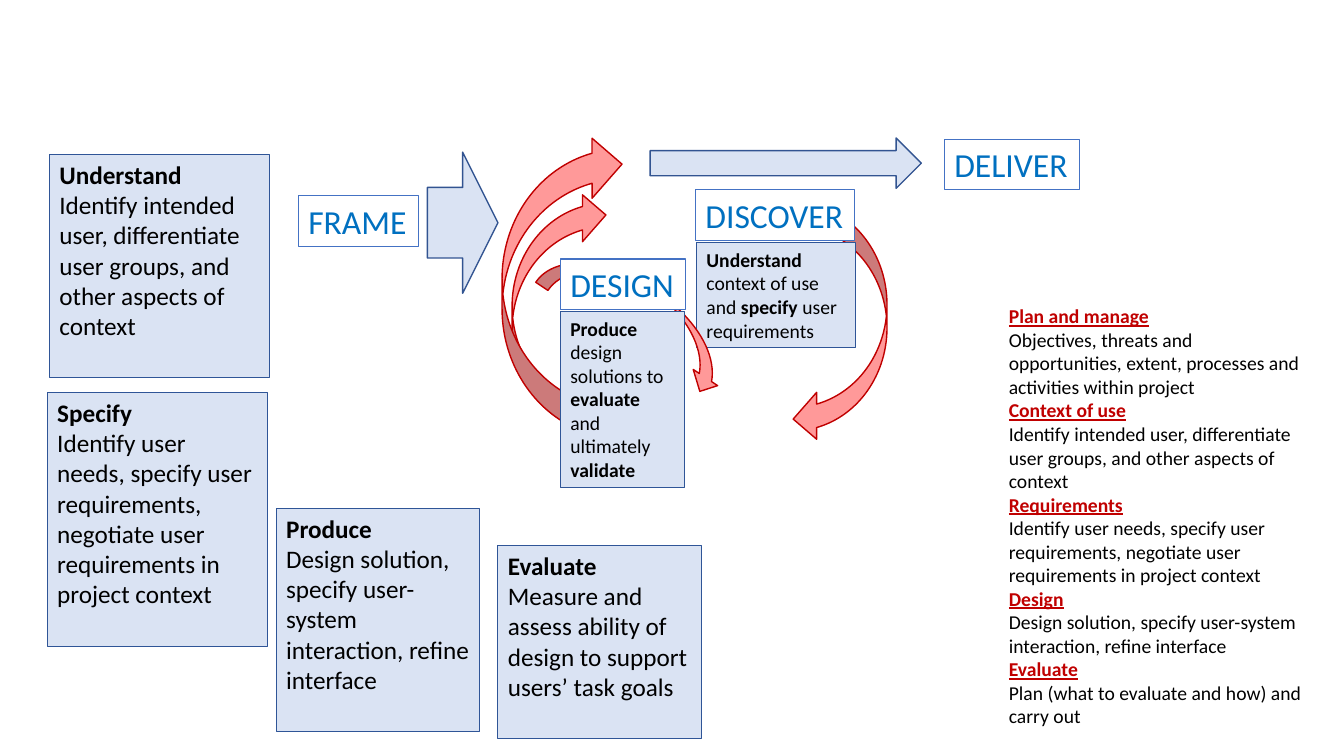
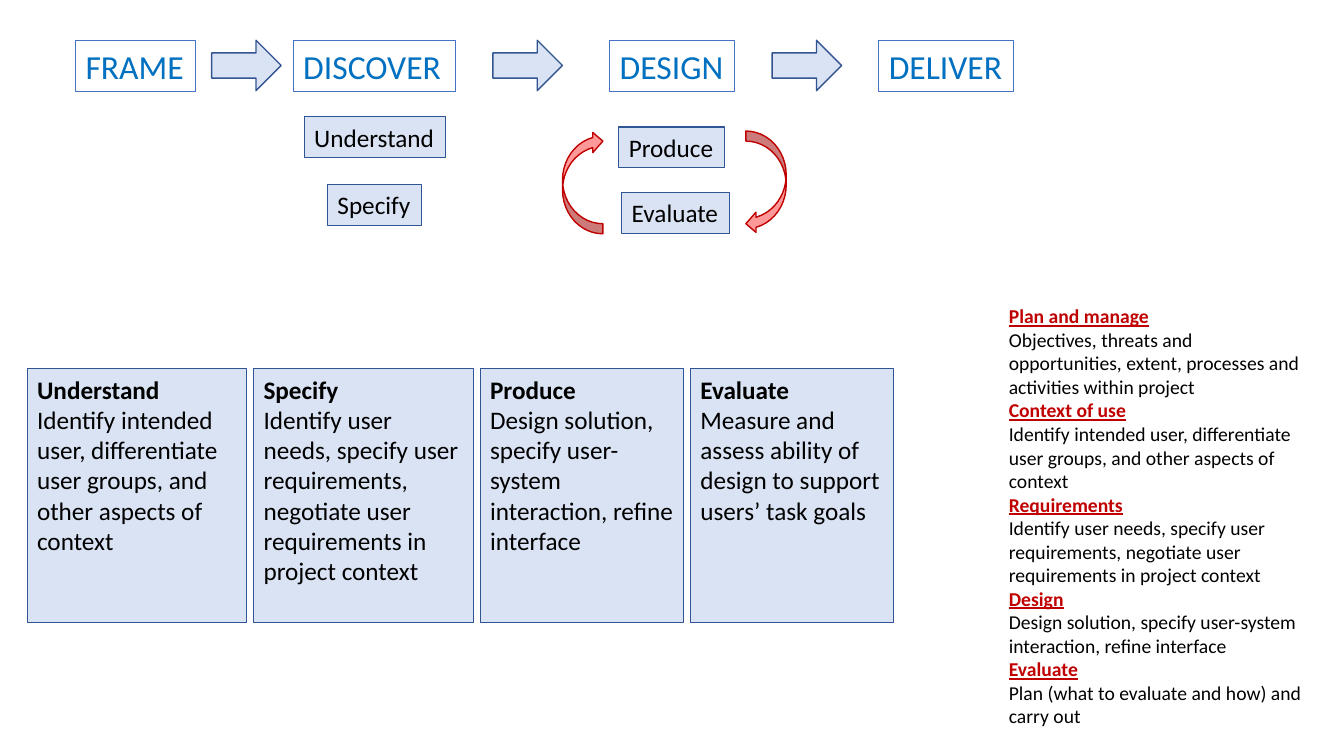
"""Build two slides on the frame, discover, design and deliver process."""
from dataclasses import dataclass

from pptx import Presentation
from pptx.dml.color import RGBColor
from pptx.enum.shapes import MSO_SHAPE as Shape
from pptx.enum.text import MSO_AUTO_SIZE as AutoSize
from pptx.util import Pt


@dataclass(frozen=True)
class Theme:
    font: str = "Calibri"
    black: str = "000000"
    white: str = "FFFFFF"
    pale_blue: str = "DAE3F3"
    box_line: str = "2F5597"
    arrow_line: str = "325491"
    label_line: str = "4472C4"
    label_text: str = "0070C0"
    pink: str = "FF9999"
    red: str = "C00000"
    label_size: int = 24
    card_size: int = 18
    small_size: int = 14
    box_width: float = 0.75
    arrow_width: float = 1


@dataclass(frozen=True)
class BoxStyle:
    size: int
    text: str
    heading: str
    fill: str | None = None
    line: str | None = None
    wrap: bool = True
    underline: bool = False


theme = Theme()
label = BoxStyle(theme.label_size, theme.label_text, theme.label_text,
                 theme.white, theme.label_line, wrap=False)
card = BoxStyle(theme.card_size, theme.black, theme.black, theme.pale_blue, theme.box_line)
tag = BoxStyle(theme.card_size, theme.black, theme.black,
               theme.pale_blue, theme.box_line, wrap=False)
note = BoxStyle(theme.small_size, theme.black, theme.black, theme.pale_blue, theme.box_line)
panel = BoxStyle(theme.small_size, theme.black, theme.red, underline=True)

USER_GROUPS = "Identify intended user, differentiate user groups, and other aspects of context"
USER_NEEDS = ("Identify user needs, specify user requirements, "
              "negotiate user requirements in project context")
SOLUTION = "Design solution, specify user-system interaction, refine interface"
CARDS = {
    "Understand": (157, USER_GROUPS),
    "Specify": (157, USER_NEEDS),
    "Produce": (145.4, SOLUTION),
    "Evaluate": (145.4, "Measure and assess ability of design to support users’ task goals"),
}
PANEL_LINES = [
    "*Plan and manage*",
    "Objectives, threats and opportunities, extent, processes and activities within project",
    "*Context of use*",
    USER_GROUPS,
    "*Requirements*",
    USER_NEEDS,
    "*Design*",
    SOLUTION,
    "*Evaluate*",
    "Plan (what to evaluate and how) and carry out",
]
PANEL_PLACE = (713.5, 213.8, 223.9, 312.5)
LABEL_HEIGHT = 36.3
TAG_HEIGHT = 29
ARROW_HEIGHT = 36


def add_box(page, style, place, lines):
    """Add a text box; words between asterisks take the heading look."""
    box = page.shapes.add_textbox(*map(Pt, place))
    if style.fill:
        box.fill.solid()
        box.fill.fore_color.rgb = RGBColor.from_string(style.fill)
        box.line.color.rgb = RGBColor.from_string(style.line)
        box.line.width = Pt(theme.box_width)
    frame = box.text_frame
    frame.word_wrap = style.wrap
    frame.auto_size = AutoSize.SHAPE_TO_FIT_TEXT if not style.wrap else AutoSize.NONE
    for index, line in enumerate(lines):
        para = frame.add_paragraph() if index else frame.paragraphs[0]
        for part, words in enumerate(line.split("*")):
            if not words:
                continue
            is_heading = part % 2 == 1
            span = para.add_run()
            span.text = words
            span.font.name = theme.font
            span.font.size = Pt(style.size)
            span.font.bold = is_heading
            span.font.underline = is_heading and style.underline
            colour = style.heading if is_heading else style.text
            span.font.color.rgb = RGBColor.from_string(colour)


def add_arrow(page, kind, place, rotation=0):
    """Add a blue block arrow or a red curved arrow."""
    arrow = page.shapes.add_shape(kind, *map(Pt, place))
    straight = kind == Shape.RIGHT_ARROW
    fill, line = (theme.pale_blue, theme.arrow_line) if straight else (theme.pink, theme.red)
    arrow.shadow.inherit = False
    arrow.rotation = rotation
    arrow.fill.solid()
    arrow.fill.fore_color.rgb = RGBColor.from_string(fill)
    arrow.line.color.rgb = RGBColor.from_string(line)
    arrow.line.width = Pt(theme.arrow_width)


deck = Presentation()
deck.slide_width, deck.slide_height = Pt(960), Pt(540)
blank = deck.slide_layouts[6]

cycle_page = deck.slides.add_slide(blank)
add_arrow(cycle_page, Shape.RIGHT_ARROW, (305.3, 108.7, 50.4, 100.8))
add_arrow(cycle_page, Shape.CURVED_LEFT_ARROW, (365.8, 136.8, 67, 172.1), 180)
add_arrow(cycle_page, Shape.CURVED_LEFT_ARROW, (566.6, 144, 67, 172.1))
add_box(cycle_page, note, (497.5, 173.5, 113.8, 74.9),
        ["*Understand *context of use and *specify* user requirements"])
add_arrow(cycle_page, Shape.CURVED_LEFT_ARROW, (436.3, 150.5, 41.8, 151.2), 303.6)
add_arrow(cycle_page, Shape.CURVED_LEFT_ARROW, (358.6, 95.8, 85.7, 217.4), 180)
add_box(cycle_page, panel, PANEL_PLACE, PANEL_LINES)

card_places = [(35.3, 110.2, 159.8), (33.8, 280.1, 181.4),
               (197.3, 362.9, 159.8), (355.7, 389.5, 138.2)]
for (title, (width, body)), (left, top, height) in zip(CARDS.items(), card_places):
    add_box(cycle_page, card, (left, top, width, height), [f"*{title}*", body])

for name, left, top, width in [("FRAME", 213.1, 139.7, 85.7), ("DISCOVER", 496.8, 135.4, 113.8),
                               ("DESIGN", 400.3, 185, 89.3), ("DELIVER", 674.6, 99.4, 96.5)]:
    add_box(cycle_page, label, (left, top, width, LABEL_HEIGHT), [name])
add_arrow(cycle_page, Shape.RIGHT_ARROW, (464.4, 98.6, 193.7, ARROW_HEIGHT))
add_box(cycle_page, note, (400.3, 222.5, 88.6, 126),
        ["*Produce* design solutions to *evaluate* and ultimately *validate*"])

steps_page = deck.slides.add_slide(blank)
for left, rotation in [(532.8, 0), (401.8, 180)]:
    add_arrow(steps_page, Shape.CURVED_LEFT_ARROW, (left, 93.6, 28.8, 73.4), rotation)
for name, left, top, width in [("Understand", 217.4, 83.5, 100.8), ("Specify", 234, 131.8, 67),
                               ("Produce", 442.1, 90.7, 75.6), ("Evaluate", 444.2, 137.5, 77)]:
    add_box(steps_page, tag, (left, top, width, TAG_HEIGHT), [name])
add_box(steps_page, panel, PANEL_PLACE, PANEL_LINES)

card_left, card_gap = 19.4, 4.8
for title, (width, body) in CARDS.items():
    add_box(steps_page, card, (card_left, 263.5, width, 181.4), [f"*{title}*", body])
    card_left += width + card_gap

for name, left, width in [("FRAME", 54, 85.7), ("DISCOVER", 209.5, 115.9),
                          ("DESIGN", 435.6, 89.3), ("DELIVER", 627.8, 96.5)]:
    add_box(steps_page, label, (left, 29, width, LABEL_HEIGHT), [name])
for left in (151.2, 352.1, 551.5):
    add_arrow(steps_page, Shape.RIGHT_ARROW, (left, 28.8, 49.7, ARROW_HEIGHT))

deck.save("out.pptx")
